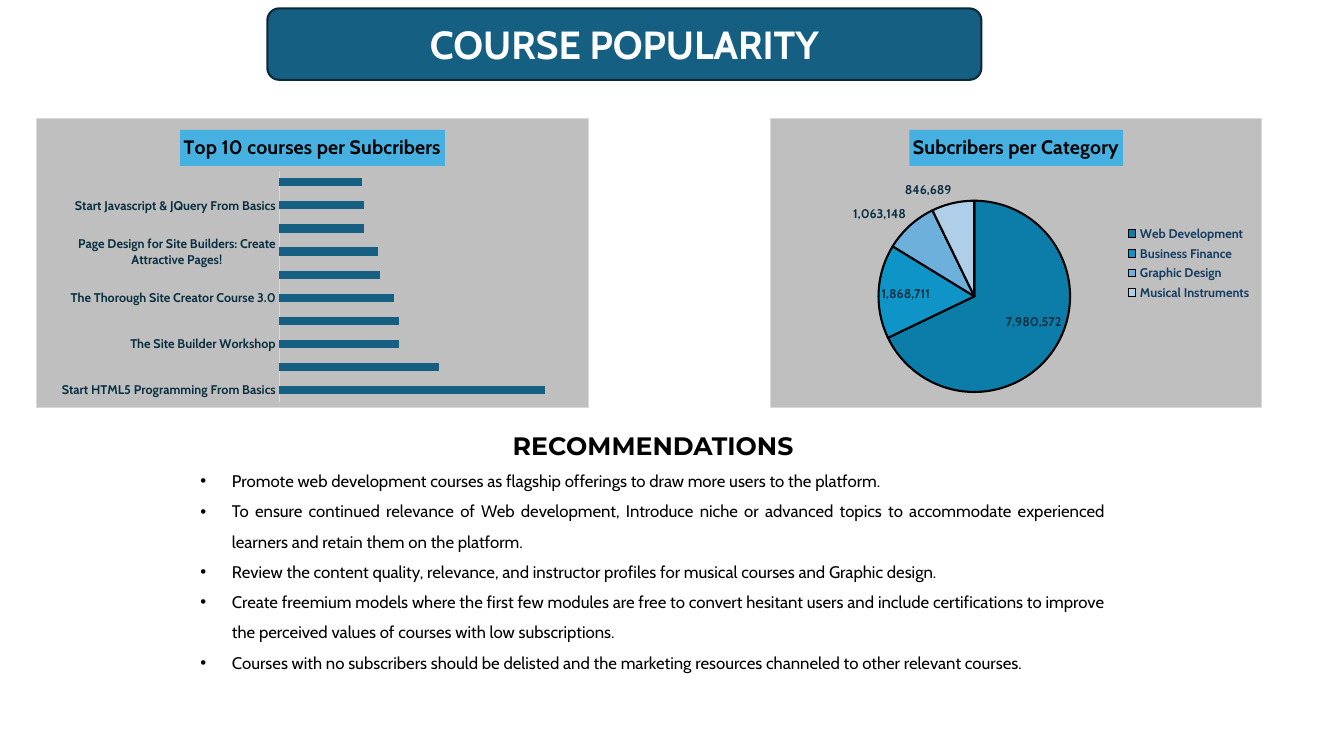
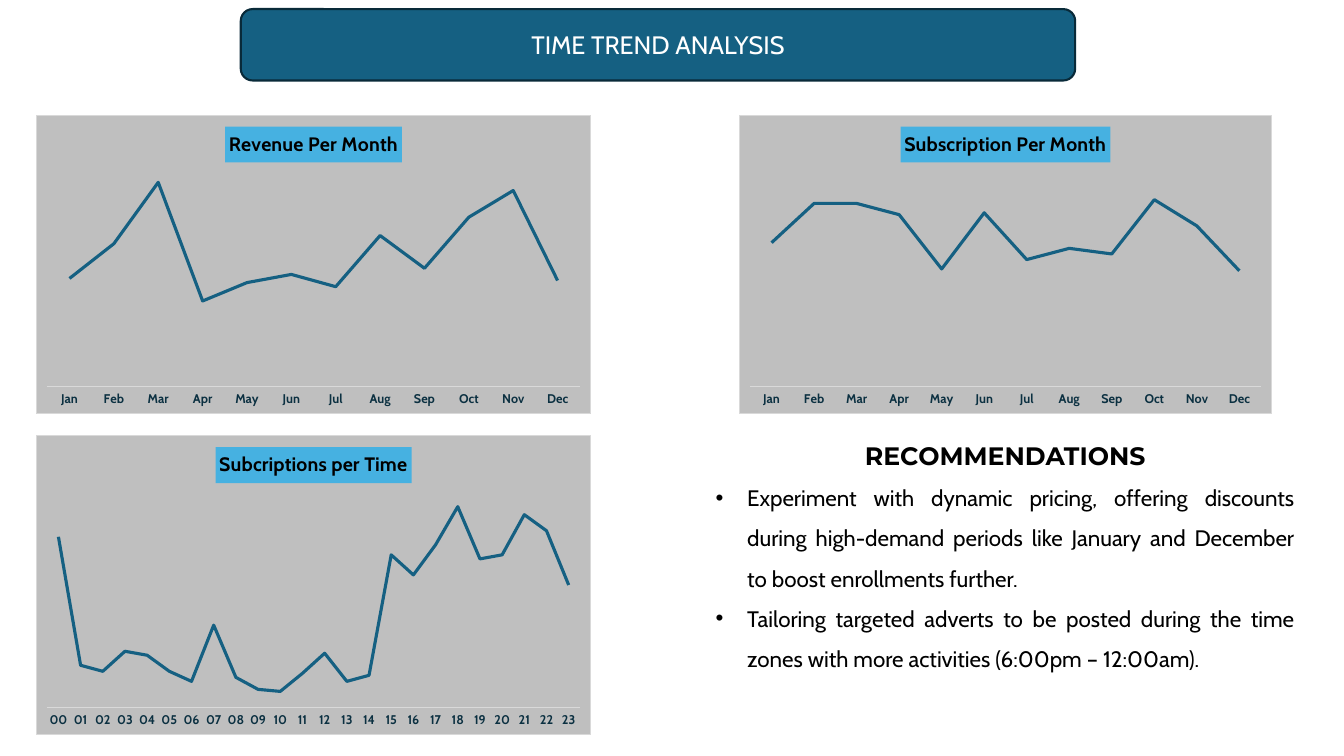
from dataclasses import dataclass

from lxml.etree import SubElement
from pptx import Presentation
from pptx.chart.data import CategoryChartData
from pptx.dml.color import RGBColor
from pptx.enum.chart import XL_CHART_TYPE as ChartType
from pptx.enum.chart import XL_LABEL_POSITION as LabelPosition
from pptx.enum.chart import XL_LEGEND_POSITION as LegendPosition
from pptx.enum.chart import XL_TICK_MARK as TickMark
from pptx.enum.shapes import MSO_SHAPE as Preset
from pptx.enum.text import MSO_ANCHOR as Anchor
from pptx.enum.text import MSO_AUTO_SIZE as AutoSize
from pptx.enum.text import PP_ALIGN as Align
from pptx.oxml import parse_xml
from pptx.oxml.ns import nsdecls, qn
from pptx.util import Pt


@dataclass(frozen=True)
class Theme:
    body_font: str = "Cabin"
    heading_font: str = "Montserrat"
    main: str = "156082"
    band_line: str = "092A39"
    panel: str = "BFBFBF"
    hairline: str = "D9D9D9"
    highlight: str = "46B1E1"
    label: str = "0B3041"
    legend: str = "163E64"
    white: str = "FFFFFF"
    black: str = "000000"
    slices: tuple[str, ...] = ("0C7DA8", "0E94C7", "6DB0DC", "AFCEE8")
    heading_size: float = 18
    chart_title_size: float = 14
    chart_size: float = 10
    label_size: float = 9


THEME = Theme()


@dataclass(frozen=True)
class Box:
    """A rectangle in points."""
    left: float
    top: float
    width: float
    height: float

    def lengths(self) -> tuple:
        return Pt(self.left), Pt(self.top), Pt(self.width), Pt(self.height)


@dataclass(frozen=True)
class ChartPanel:
    kind: ChartType
    title: str
    box: Box
    plot: Box  # shares of the panel
    categories: tuple[str, ...]
    values: tuple[int, ...]
    maximum: float = 0


@dataclass(frozen=True)
class Page:
    title: str
    title_box: Box
    title_size: float
    title_bold: bool
    panels: tuple[ChartPanel, ...]
    advice_box: Box
    advice_size: float
    advice: tuple[str, ...]


LINE_PLOT = Box(0.02, 0.17, 0.96, 0.74)
MONTHS = tuple("Jan Feb Mar Apr May Jun Jul Aug Sep Oct Nov Dec".split())
HOURS = tuple(f"{hour:02d}" for hour in range(24))

PAGES = (
    Page(
        "COURSE POPULARITY", Box(191, 6, 510, 51), 28, True,
        (
            ChartPanel(
                ChartType.BAR_CLUSTERED, "Top 10 courses per Subcribers",
                Box(26, 84.5, 394.5, 207), Box(0.44, 0.18, 0.54, 0.8),
                (
                    "Start HTML5 Programming From Basics",
                    "Software for Founders Primer",
                    "The Site Builder Workshop",
                    "Make Your Own Web Page in 7 Days using HTML5 and CSS3",
                    "The Thorough Site Creator Course 3.0",
                    "Easy Starter Electric Guitar Classes",
                    "Page Design for Site Builders: Create Attractive Pages!",
                    "Study Page Styling & HTML5/CSS3 Foundations in 5-Hours",
                    "Start Javascript & JQuery From Basics",
                    "Hands-on PHP: Grasp the Core and Write Responsive Sites",
                ),
                (100, 60, 45, 45, 43, 38, 37, 32, 32, 31), 112,
            ),
            ChartPanel(
                ChartType.PIE, "Subcribers per Category",
                Box(550, 84.5, 351.5, 207), Box(0.22, 0.28, 0.39, 0.67),
                ("Web Development", "Business Finance", "Graphic Design",
                 "Musical Instruments"),
                (7980572, 1868711, 1063148, 846689),
            ),
        ),
        Box(136, 304, 661, 180), 12,
        (
            "Promote web development courses as flagship offerings to draw more "
            "users to the platform.",
            "To ensure continued relevance of Web development, Introduce niche or "
            "advanced topics to accommodate experienced learners and retain them "
            "on the platform.",
            "Review the content quality, relevance, and instructor profiles for "
            "musical courses and Graphic design.",
            "Create freemium models where the first few modules are free to convert "
            "hesitant users and include certifications to improve the perceived "
            "values of courses with low subscriptions.",
            "Courses with no subscribers should be delisted and the marketing "
            "resources channeled to other relevant courses.",
        ),
    ),
    Page(
        "TIME TREND ANALYSIS", Box(172, 6.5, 596, 51), 18, False,
        (
            ChartPanel(
                ChartType.LINE, "Revenue Per Month", Box(25.5, 82, 397, 214),
                LINE_PLOT, MONTHS,
                (53, 70, 100, 42, 51, 55, 49, 74, 58, 83, 96, 52), 108,
            ),
            ChartPanel(
                ChartType.LINE, "Subscription Per Month", Box(528, 82, 380.5, 214),
                LINE_PLOT, MONTHS,
                (77, 98, 98, 92, 63, 93, 68, 74, 71, 100, 86, 62), 118,
            ),
            ChartPanel(
                ChartType.LINE, "Subcriptions per Time", Box(25.5, 311, 397, 214),
                LINE_PLOT, HOURS,
                (85, 21, 18, 28, 26, 18, 13, 41, 15, 9, 8, 17, 27, 13, 16, 76,
                 66, 81, 100, 74, 76, 96, 88, 61), 110,
            ),
        ),
        Box(504, 311, 428, 189), 16,
        (
            "Experiment with dynamic pricing, offering discounts during high-demand "
            "periods like January and December to boost enrollments further.",
            "Tailoring targeted adverts to be posted during the time zones with more "
            "activities (6:00pm – 12:00am).",
        ),
    ),
)


def set_font(font, *, size: float, color: str, bold: bool = False,
             name: str = THEME.body_font) -> None:
    font.name, font.size, font.bold = name, Pt(size), bold
    font.color.rgb = RGBColor.from_string(color)


def write(para, text: str, *, align: Align = Align.CENTER, **style) -> None:
    span = para.add_run()
    span.text = text
    para.alignment = align
    set_font(span.font, **style)


def paint(fill, color: str) -> None:
    fill.solid()
    fill.fore_color.rgb = RGBColor.from_string(color)


def outline(line, color: str, width: float) -> None:
    line.color.rgb = RGBColor.from_string(color)
    line.width = Pt(width)


def place(shape, box: Box) -> None:
    shape.left, shape.top, shape.width, shape.height = box.lengths()


def set_bullet(para, indent: float, symbol: str = "") -> None:
    """Hang the paragraph from a symbol, or clear the bullet if there is none."""
    props = para._p.get_or_add_pPr()
    props.set("marL", str(Pt(indent)))
    props.set("indent", str(-Pt(indent)))
    if symbol:
        SubElement(props, qn("a:buFont")).set("typeface", "Arial")
        SubElement(props, qn("a:buChar")).set("char", symbol)
    else:
        SubElement(props, qn("a:buNone"))


def add_title(slide, page: Page) -> None:
    title = slide.shapes.title
    place(title, page.title_box)
    frame = title.text_frame
    frame.auto_size, frame.vertical_anchor = AutoSize.NONE, Anchor.MIDDLE
    write(frame.paragraphs[0], page.title, size=page.title_size,
          color=THEME.white, bold=page.title_bold)

    band = slide.shapes.add_shape(Preset.ROUNDED_RECTANGLE, *page.title_box.lengths())
    band.shadow.inherit = False
    paint(band.fill, THEME.main)
    outline(band.line, THEME.band_line, 1.5)
    title.element.addprevious(band.element)


def add_advice(slide, page: Page) -> None:
    body = slide.placeholders[1]
    place(body, page.advice_box)
    frame = body.text_frame
    frame.word_wrap, frame.auto_size = True, AutoSize.NONE
    frame.vertical_anchor = Anchor.TOP
    heading = frame.paragraphs[0]
    heading.space_before = Pt(0)
    set_bullet(heading, 0)
    write(heading, "RECOMMENDATIONS", size=THEME.heading_size, color=THEME.black,
          bold=True, name=THEME.heading_font)
    for text in page.advice:
        para = frame.add_paragraph()
        para.space_before, para.line_spacing = Pt(0), 1.5
        set_bullet(para, 22.5, "•")
        write(para, text, align=Align.JUSTIFY, size=page.advice_size,
              color=THEME.black)


def frame_chart(chart, plot: Box) -> None:
    """Fill and border the chart area, and fix the inner plot area."""
    chart.element.find(qn("c:chart")).addnext(parse_xml(
        f'<c:spPr {nsdecls("c", "a")}>'
        f'<a:solidFill><a:srgbClr val="{THEME.panel}"/></a:solidFill>'
        f'<a:ln w="{Pt(0.75)}"><a:solidFill><a:srgbClr val="{THEME.hairline}"/>'
        '</a:solidFill></a:ln></c:spPr>'))
    area = chart.element.find(f'{qn("c:chart")}/{qn("c:plotArea")}')
    for old in area.findall(qn("c:layout")):
        area.remove(old)
    area.insert(0, parse_xml(
        f'<c:layout {nsdecls("c")}><c:manualLayout><c:layoutTarget val="inner"/>'
        '<c:xMode val="edge"/><c:yMode val="edge"/>'
        f'<c:x val="{plot.left}"/><c:y val="{plot.top}"/>'
        f'<c:w val="{plot.width}"/><c:h val="{plot.height}"/>'
        '</c:manualLayout></c:layout>'))


def style_pie(chart) -> None:
    chart.has_legend = True
    chart.legend.position = LegendPosition.RIGHT
    chart.legend.include_in_layout = False
    set_font(chart.legend.font, size=THEME.label_size, color=THEME.legend, bold=True)
    pie = chart.plots[0]
    pie.vary_by_categories = True
    for index, color in enumerate(THEME.slices):
        part = pie.series[0].points[index].format
        paint(part.fill, color)
        outline(part.line, THEME.black, 1.5)
    pie.has_data_labels = True
    labels = pie.data_labels
    labels.show_value = True
    labels.number_format, labels.number_format_is_linked = "#,##0", False
    labels.position = LabelPosition.BEST_FIT
    set_font(labels.font, size=THEME.label_size, color=THEME.label, bold=True)


def style_axes(chart, panel: ChartPanel) -> None:
    chart.has_legend = False
    values, categories = chart.value_axis, chart.category_axis
    values.minimum_scale, values.maximum_scale = 0, panel.maximum
    values.has_major_gridlines = values.visible = False
    categories.major_tick_mark = categories.minor_tick_mark = TickMark.NONE
    outline(categories.format.line, THEME.hairline, 0.75)
    set_font(categories.tick_labels.font, size=THEME.label_size, color=THEME.label,
             bold=True)
    plot = chart.plots[0]
    plot.vary_by_categories = False
    series = plot.series[0]
    if panel.kind == ChartType.LINE:
        series.smooth = False
        outline(series.format.line, THEME.main, 2.25)
    else:
        plot.gap_width = 182
        paint(series.format.fill, THEME.main)


def add_panel(slide, panel: ChartPanel) -> None:
    data = CategoryChartData(number_format="#,##0")
    data.categories = panel.categories
    data.add_series("Series 1", panel.values)
    chart = slide.shapes.add_chart(panel.kind, *panel.box.lengths(), data).chart
    set_font(chart.font, size=THEME.chart_size, color=THEME.black)
    chart.has_title = True
    title = chart.chart_title
    title.include_in_layout = False
    write(title.text_frame.paragraphs[0], panel.title, size=THEME.chart_title_size,
          color=THEME.black, bold=True)
    paint(title.format.fill, THEME.highlight)
    if panel.kind == ChartType.PIE:
        style_pie(chart)
    else:
        style_axes(chart, panel)
    frame_chart(chart, panel.plot)


def main() -> None:
    deck = Presentation()
    deck.slide_width, deck.slide_height = Pt(960), Pt(540)
    for page in PAGES:
        slide = deck.slides.add_slide(deck.slide_layouts[1])
        add_title(slide, page)
        for panel in page.panels:
            add_panel(slide, panel)
        add_advice(slide, page)
    deck.save("out.pptx")


if __name__ == "__main__":
    main()
